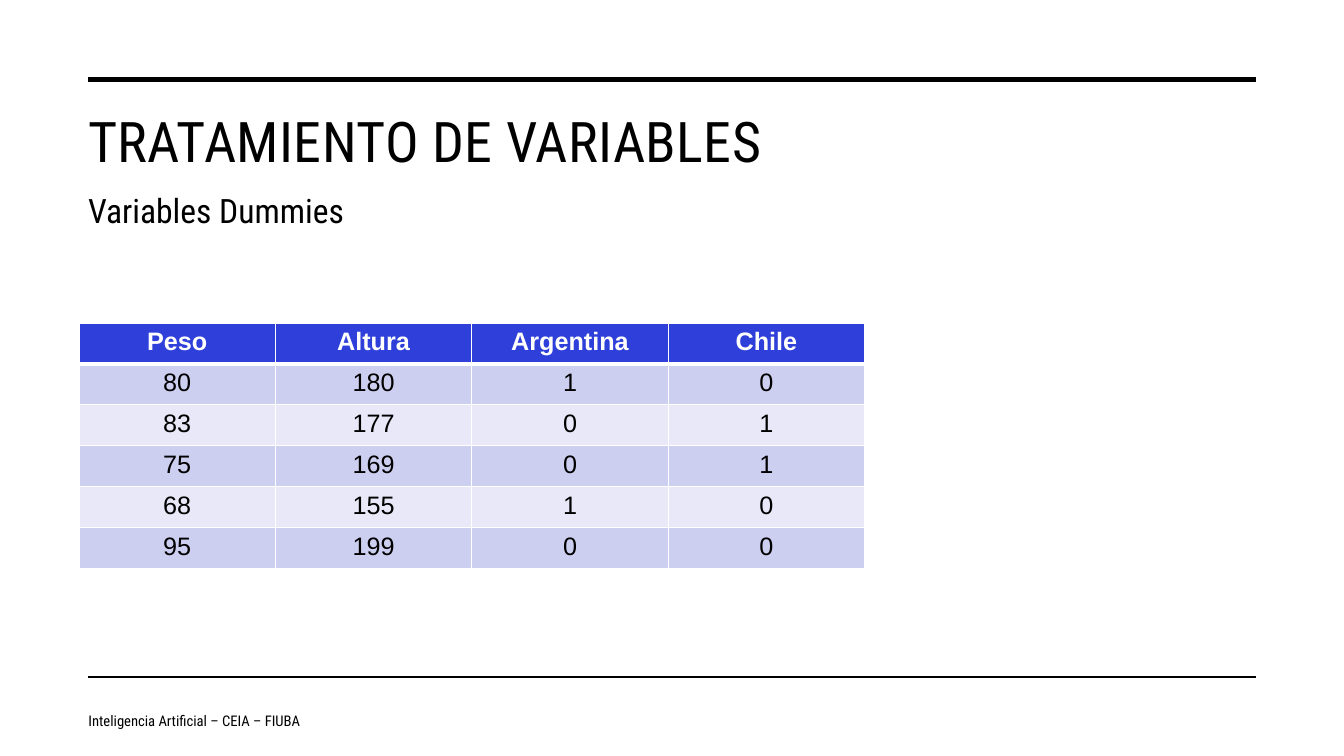
import pptx
import pptx.util
import pptx.dml.color
import pptx.enum.shapes
import pptx.enum.text
import pptx.oxml
import pptx.oxml.ns
from dataclasses import dataclass
from lxml import etree
from pptx.util import Cm, Pt


@dataclass(frozen=True)
class Theme:
    font: str = "Roboto Condensed"
    table_font: str = "Arial"
    ink: str = "000000"
    paper: str = "FFFFFF"
    header: str = "2E40D9"
    bands: tuple = ("CDCFF1", "E8E8F8")
    title: float = 40
    subtitle: float = 24
    table: float = 18
    footer: float = 10.5


THEME = Theme()

DUMMIES = [
    ("Peso", "Altura", "Argentina", "Chile"),
    (80, 180, 1, 0),
    (83, 177, 0, 1),
    (75, 169, 0, 1),
    (68, 155, 1, 0),
    (95, 199, 0, 0),
]


def rgb(color):
    return pptx.dml.color.RGBColor.from_string(color)


def format_font(font, color, **values):
    for name, value in values.items():
        setattr(font, name, value)
    font.color.rgb = rgb(color)


def add_rule(s, top, weight):
    """Draw a horizontal line across the content width."""
    line = s.shapes.add_connector(
        pptx.enum.shapes.MSO_CONNECTOR.STRAIGHT, Cm(2.23), Cm(top), Cm(31.65), Cm(top))
    line.line.width = Pt(weight)
    line.line.color.rgb = rgb(THEME.ink)
    etree.SubElement(line._element.spPr, pptx.oxml.ns.qn("a:effectLst"))


def add_text(s, text, box, size, anchor="TOP", spacing=None):
    """Add a one-line text box; spacing is in hundredths of a point."""
    tf = s.shapes.add_textbox(*map(Cm, box)).text_frame
    tf.word_wrap = True
    tf.vertical_anchor = pptx.enum.text.MSO_ANCHOR[anchor]
    r = tf.paragraphs[0].add_run()
    r.text = text
    format_font(r.font, THEME.ink, name=THEME.font, size=Pt(size))
    if spacing:
        r._r.get_or_add_rPr().set("spc", str(spacing))


def set_borders(cell, weights):
    tcPr = cell._tc.get_or_add_tcPr()
    for tag, weight in weights.items():
        border = pptx.oxml.parse_xml(
            f'<a:{tag} {pptx.oxml.ns.nsdecls("a")} w="{Pt(weight)}"><a:solidFill>'
            f'<a:srgbClr val="{THEME.paper}"/></a:solidFill></a:{tag}>')
        tcPr.append(border)


def style_cell(cell, text, row):
    is_header = row == 0
    set_borders(cell, {"lnL": 1, "lnR": 1,
                       "lnT": 3 if row == 1 else 1, "lnB": 3 if is_header else 1})
    cell.fill.solid()
    cell.fill.fore_color.rgb = rgb(THEME.header if is_header else THEME.bands[(row - 1) % 2])
    p = cell.text_frame.paragraphs[0]
    p.alignment = pptx.enum.text.PP_ALIGN.CENTER
    r = p.add_run()
    r.text = str(text)
    format_font(r.font, THEME.paper if is_header else THEME.ink,
                name=THEME.table_font, size=Pt(THEME.table), bold=is_header)


def add_table(s, data, left, top, column_width, row_height):
    rows, cols = len(data), len(data[0])
    table = s.shapes.add_table(rows, cols, Cm(left), Cm(top), Cm(column_width * cols),
                               Cm(row_height * rows)).table
    for i, values in enumerate(data):
        table.rows[i].height = Cm(row_height)
        for j, value in enumerate(values):
            style_cell(table.cell(i, j), value, i)


def main():
    prs = pptx.Presentation()
    prs.slide_width, prs.slide_height = Cm(33.87), Cm(19.05)
    s = prs.slides.add_slide(prs.slide_layouts[6])
    add_rule(s, 2, 3.5)
    add_rule(s, 17.06, 1)
    add_text(s, "TRATAMIENTO DE VARIABLES", (1.97, 2.57, 29.69, 3.81), THEME.title, spacing=30)
    add_text(s, "Inteligencia Artificial – CEIA – FIUBA", (1.98, 17.65, 12.6, 1.02),
             THEME.footer, anchor="MIDDLE")
    add_text(s, "Variables Dummies", (1.97, 4.67, 21.36, 1.27), THEME.subtitle)
    add_table(s, DUMMIES, 1.99, 8.14, 4.95, 1.03)
    prs.save("out.pptx")


if __name__ == "__main__":
    main()
